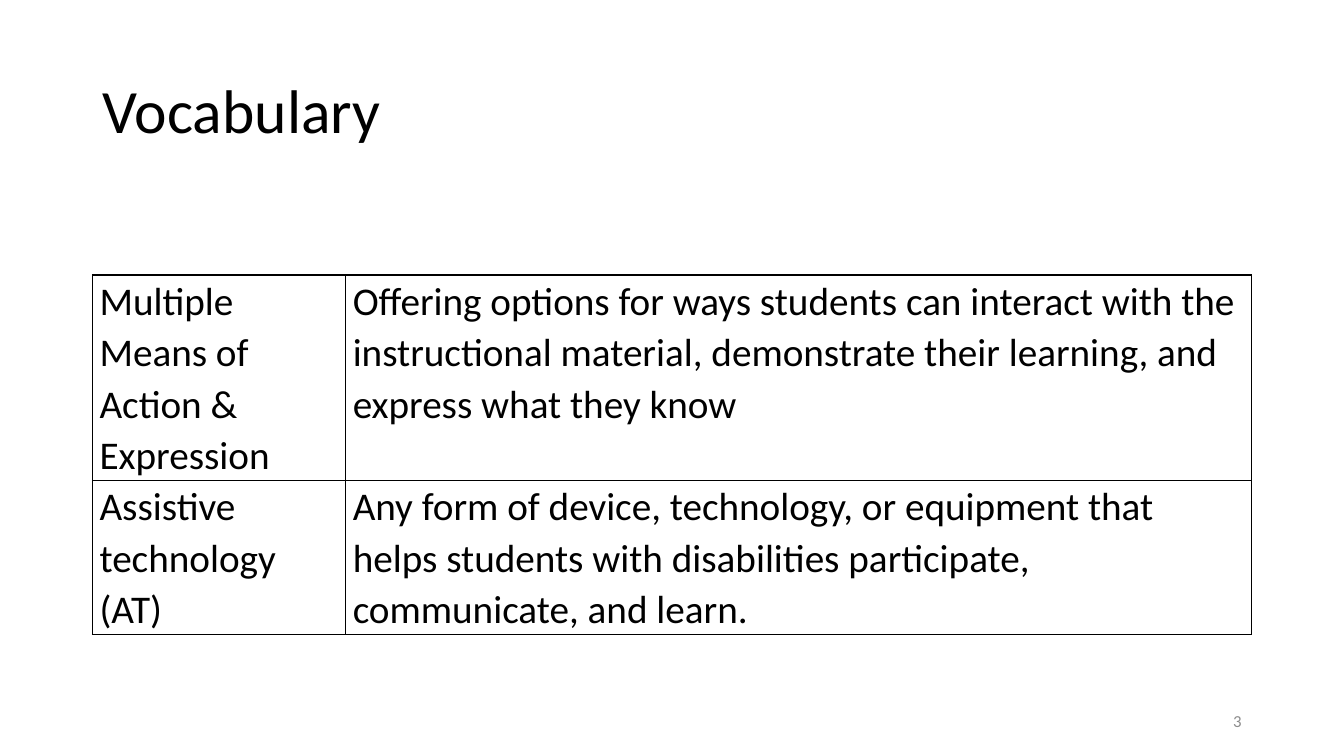
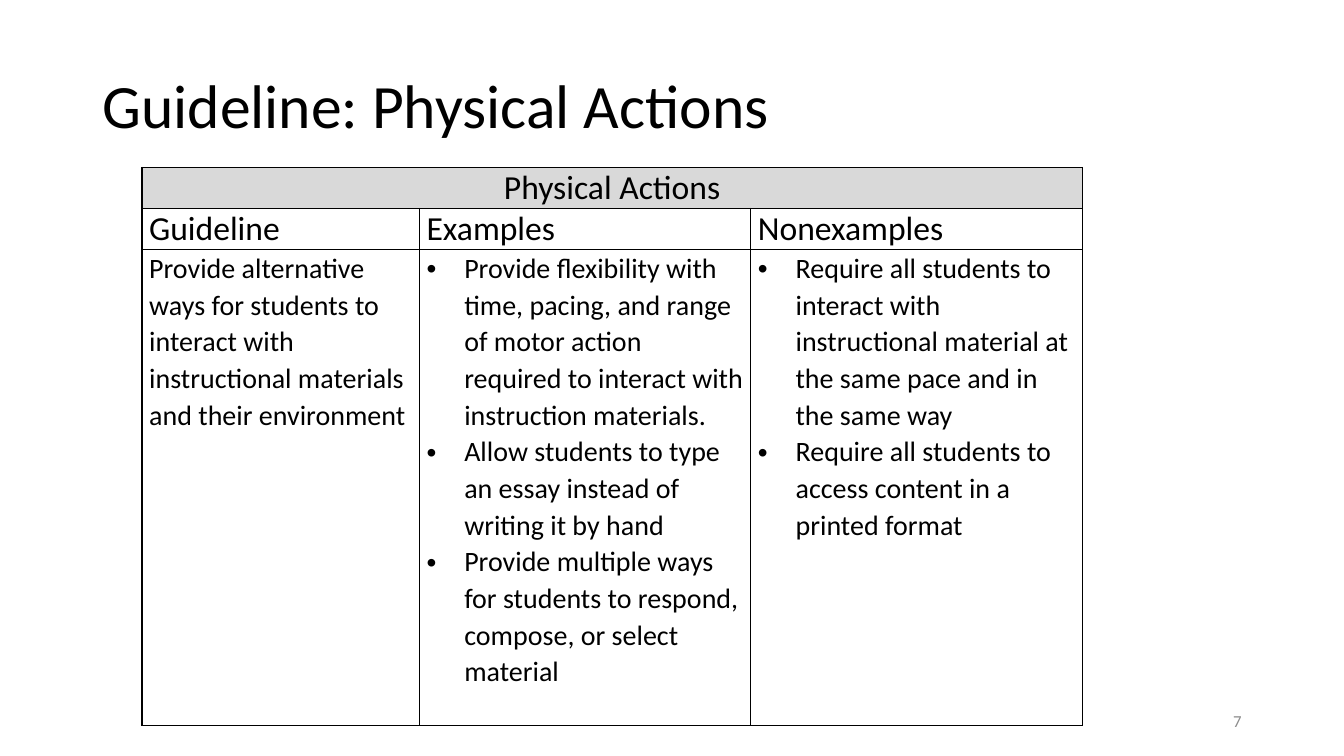
"""Build two slides on vocabulary and guidelines for physical actions."""
from lxml import etree
from pptx import Presentation
from pptx.dml.color import RGBColor
from pptx.enum import text as t
from pptx.oxml.ns import qn
from pptx.util import Cm, Pt

HUES = {"ink": "000000", "band": "D9D9D9", "page": "8C8C8C"}
LEFT, MID, RIGHT = t.PP_ALIGN.LEFT, t.PP_ALIGN.CENTER, t.PP_ALIGN.RIGHT
FRAME = {"word_wrap": True, "auto_size": t.MSO_AUTO_SIZE.NONE,
         "vertical_anchor": t.MSO_ANCHOR.MIDDLE}
INSET = {"margin_left": Cm(0.18), "margin_right": Cm(0.18),
         "margin_top": 0, "margin_bottom": 0}
PLAIN = {"first_row": False, "horz_banding": False}


def style(item, form):
    for key, val in form.items():
        setattr(item, key, val)


def write(para, words, size, hue="ink", align=LEFT, gap=1.0, dot=False):
    style(para, {"alignment": align, "line_spacing": gap})
    if dot:
        props = para._p.get_or_add_pPr()
        props.set("marL", str(Cm(0.95)))
        props.set("indent", str(-Cm(0.95)))
        etree.SubElement(props, qn("a:buFont"), typeface="Arial")
        etree.SubElement(props, qn("a:buChar"), char="•")
    run = para.add_run()
    run.text = words
    style(run.font, {"name": "Calibri", "size": Pt(size), "bold": False})
    run.font.color.rgb = RGBColor.from_string(HUES[hue])


term = {"size": 28, "gap": 1.07}
head = {"size": 24}
band = {"size": 24, "align": MID}
body = {"size": 20, "gap": 1.07}
item = {**body, "dot": True}

SLIDES = [
    {"title": "Vocabulary", "top": 1.02, "page": "3", "at": (2.33, 6.93),
     "cols": [6.38, 22.83], "rows": [5.17, 3.88], "cells": [
         (term, [["Multiple Means of Action & Expression"],
                 ["Offering options for ways students can interact with the "
                  "instructional material, demonstrate their learning, and "
                  "express what they know"]]),
         (term, [["Assistive technology (AT)"],
                 ["Any form of device, technology, or equipment that helps "
                  "students with disabilities participate, communicate, "
                  "and learn."]])]},
    {"title": "Guideline: Physical Actions", "top": 0.89, "page": "7",
     "at": (3.58, 4.22), "cols": [6.99, 8.35, 8.35], "rows": [1.03, 1.03, 12],
     "cells": [
         (band, [["Physical Actions"]]),
         (head, [["Guideline"], ["Examples"], ["Nonexamples"]]),
         (body, [["Provide alternative ways for students to interact with "
                  "instructional materials and their environment"],
                 ["Provide flexibility with time, pacing, and range of motor "
                  "action required to interact with instruction materials.",
                  "Allow students to type an essay instead of writing it by "
                  "hand",
                  "Provide multiple ways for students to respond, compose, "
                  "or select material"],
                 ["Require all students to interact with instructional "
                  "material at the same pace and in the same way",
                  "Require all students to access content in a printed "
                  "format"]])]},
]

deck = Presentation()
style(deck, {"slide_width": Cm(33.87), "slide_height": Cm(19.05)})

for data in SLIDES:
    slide = deck.slides.add_slide(deck.slide_layouts[5])

    title = slide.shapes.title
    style(title, {"left": Cm(2.33), "top": Cm(data["top"]),
                  "width": Cm(29.21), "height": Cm(3.68)})
    style(title.text_frame, FRAME)
    write(title.text_frame.paragraphs[0], data["title"], 44, gap=0.9)

    cols, rows = data["cols"], data["rows"]
    left, top = data["at"]
    grid = slide.shapes.add_table(
        len(rows), len(cols), Cm(left), Cm(top),
        Cm(sum(cols)), Cm(sum(rows))).table
    style(grid, PLAIN)
    for col, wide in zip(grid.columns, cols):
        col.width = Cm(wide)
    for row, high in zip(grid.rows, rows):
        row.height = Cm(high)

    for cell in grid.iter_cells():
        style(cell, INSET)
        props = cell._tc.get_or_add_tcPr()
        for side in "LRTB":
            line = etree.SubElement(props, qn("a:ln" + side), w=str(Pt(1)))
            fill = etree.SubElement(line, qn("a:solidFill"))
            etree.SubElement(fill, qn("a:srgbClr"), val=HUES["ink"])
        cell.fill.background()

    for r, (form, texts) in enumerate(data["cells"]):
        if len(texts) == 1:
            wide = grid.cell(r, 0)
            wide.merge(grid.cell(r, len(cols) - 1))
            wide.fill.solid()
            wide.fill.fore_color.rgb = RGBColor.from_string(HUES["band"])
        for c, lines in enumerate(texts):
            frame = grid.cell(r, c).text_frame
            look = item if form is body and c else form
            for n, words in enumerate(lines):
                para = frame.add_paragraph() if n else frame.paragraphs[0]
                write(para, words, **look)

    page = slide.shapes.add_textbox(Cm(23.92), Cm(17.66), Cm(7.62), Cm(1.01))
    style(page.text_frame, FRAME)
    write(page.text_frame.paragraphs[0], data["page"], 12, "page", RIGHT)

deck.save("out.pptx")
